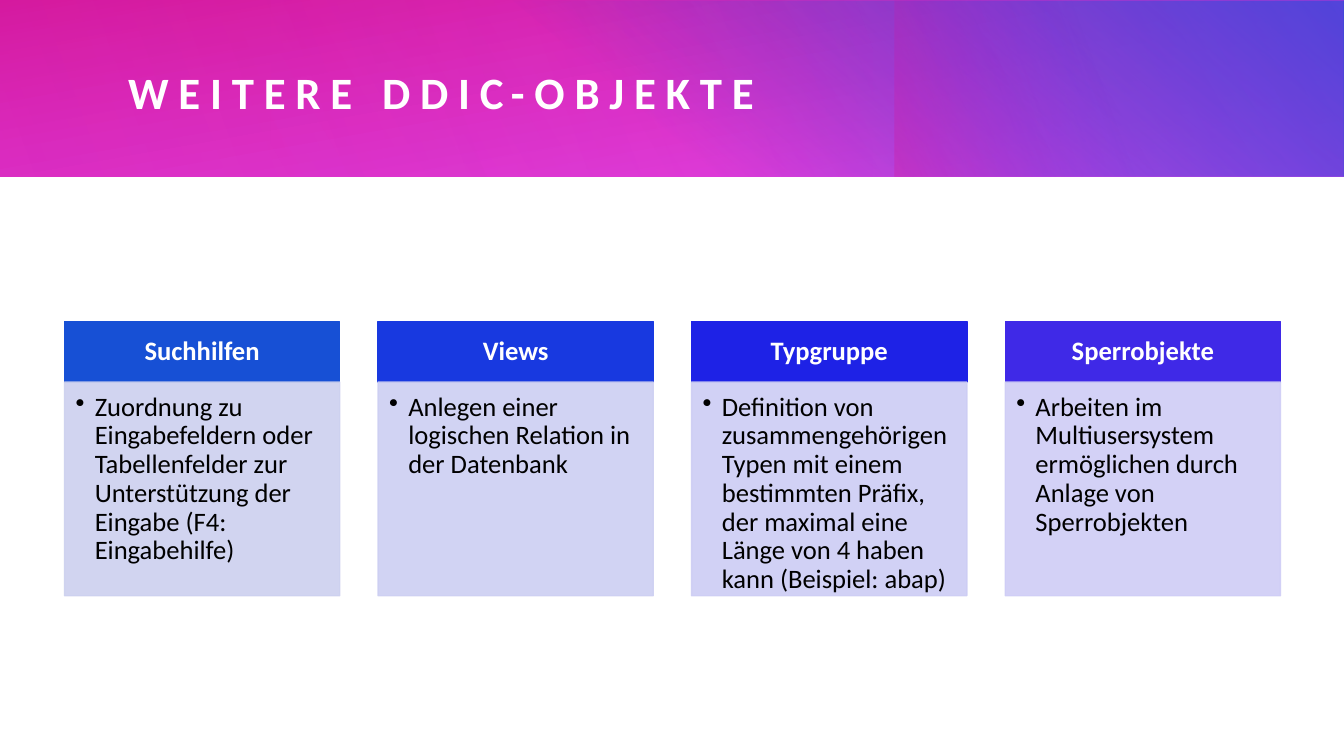
from lxml.etree import SubElement
from pptx import Presentation
from pptx.dml.color import RGBColor
from pptx.enum.shapes import MSO_SHAPE
from pptx.enum.text import MSO_ANCHOR, MSO_AUTO_SIZE, PP_ALIGN
from pptx.oxml.ns import qn
from pptx.util import Inches, Pt

COLORS = {"white": "FFFFFF", "black": "000000", "magenta": "DD29E7",
          "pink": "D5178F", "blue": "1750D5", "violet": "7C17D5"}

# Banner layers: box, rotation, gradient angle, stops (position, colour, opacity)
BANNER = [
    ((0, 0, 13.33, 1.75), 0, 260, [(0, "magenta", 83), (100, "pink", 100)]),
    ((4.81, 0.01, 8.52, 1.74), 0, 310, [(22, "blue", 0), (99, "blue", 100)]),
    ((9.87, -0.99, 1.75, 3.74), 270, 250, [(45, "violet", 0), (99, "pink", 33)]),
    ((2.68, 0, 10.64, 1.75), 180, 330, [(0, "magenta", 30), (99, "magenta", 0)]),
    ((0, 0, 8.65, 1.75), 0, 340, [(0, "magenta", 21), (99, "magenta", 0)]),
]

# Cards: heading, heading colour, body colour, body text
CARDS = [
    ("Suchhilfen", "1750D5", "CCD0EF",
     "Zuordnung zu Eingabefeldern oder Tabellenfelder zur Unterstützung der "
     "Eingabe (F4: Eingabehilfe)"),
    ("Views", "1839E0", "CDCFF2",
     "Anlegen einer logischen Relation in der Datenbank"),
    ("Typgruppe", "1E22E6", "CDCDF4",
     "Definition von zusammengehörigen Typen mit einem bestimmten Präfix, der "
     "maximal eine Länge von 4 haben kann (Beispiel: abap)"),
    ("Sperrobjekte", "3F29E7", "CFCDF6",
     "Arbeiten im Multiusersystem ermöglichen durch Anlage von Sperrobjekten"),
]


def set_attrs(obj, values):
    for name, value in values.items():
        setattr(obj, name, value)


def add_rect(s, box):
    sp = s.shapes.add_shape(MSO_SHAPE.RECTANGLE, *map(Inches, box))
    sp.shadow.inherit = False
    return sp


def set_gradient(sp, angle, stops):
    sp.fill.gradient()
    grad = sp._element.spPr.find(qn("a:gradFill"))
    for child in list(grad):
        grad.remove(child)
    gs_list = SubElement(grad, qn("a:gsLst"))
    for pos, color, opacity in stops:
        gs = SubElement(gs_list, qn("a:gs"), pos=str(pos * 1000))
        clr = SubElement(gs, qn("a:srgbClr"), val=COLORS[color])
        SubElement(clr, qn("a:alpha"), val=str(opacity * 1000))
    SubElement(grad, qn("a:lin"), ang=str(angle * 60000), scaled="0")


def set_text(sp, text, color, size, bold, align, anchor, insets):
    tf = sp.text_frame
    sides = ("margin_left", "margin_top", "margin_right", "margin_bottom")
    set_attrs(tf, {"word_wrap": True, "auto_size": MSO_AUTO_SIZE.NONE,
                   "vertical_anchor": anchor,
                   **dict(zip(sides, map(Inches, insets)))})
    p = tf.paragraphs[0]
    set_attrs(p, {"alignment": align, "line_spacing": 0.9})
    r = p.add_run()
    r.text = text
    set_attrs(r.font, {"name": "Calibri", "size": Pt(size), "bold": bold})
    r.font.color.rgb = RGBColor.from_string(COLORS[color])
    return p, r


def add_banner(s):
    for box, rotation, angle, stops in BANNER:
        sp = add_rect(s, box)
        sp.rotation = rotation
        set_gradient(sp, angle, stops)
        sp.line.fill.background()


def add_title(s, box, text):
    title = s.shapes.title
    set_attrs(title, dict(zip(("left", "top", "width", "height"), map(Inches, box))))
    p, r = set_text(title, text, "white", 32, True, PP_ALIGN.LEFT,
                    MSO_ANCHOR.MIDDLE, (0, 0, 0, 0))
    r.font._element.set("spc", "700")
    # Bring the title in front of the banner
    s.shapes._spTree.append(title._element)


def add_panel(s, box, color, opacity=100):
    sp = add_rect(s, box)
    sp.fill.solid()
    sp.line.width = Pt(1)
    for fill in (sp.fill, sp.line.fill):
        fill.solid()
        fill.fore_color.rgb = RGBColor.from_string(color)
    for clr in sp._element.spPr.iter(qn("a:srgbClr")):
        SubElement(clr, qn("a:alpha"), val=str(opacity * 1000))
    return sp


def add_card(s, box, heading, head_color, body_color, body):
    x, y, w, h = box
    head_h = 0.6
    # Heading
    sp = add_panel(s, (x, y, w, head_h), head_color)
    set_text(sp, heading, "white", 19, True, PP_ALIGN.CENTER,
             MSO_ANCHOR.MIDDLE, (0.15, 0.08, 0.15, 0.08))
    # Bulleted body
    sp = add_panel(s, (x, y + head_h, w, h - head_h), body_color, 90)
    p, r = set_text(sp, body, "black", 19, False, PP_ALIGN.LEFT,
                    MSO_ANCHOR.TOP, (0.11, 0.11, 0.15, 0.17))
    pPr = p._p.get_or_add_pPr()
    pPr.set("marL", str(Inches(0.19)))
    pPr.set("indent", str(-Inches(0.19)))
    SubElement(pPr, qn("a:buChar"), char="•")


def add_cards(s, box, gap):
    x, y, w, h = box
    card_w = (w - gap * (len(CARDS) - 1)) / len(CARDS)
    for i, card in enumerate(CARDS):
        add_card(s, (x + i * (card_w + gap), y, card_w, h), *card)


def main():
    prs = Presentation()
    set_attrs(prs, {"slide_width": Inches(13.33), "slide_height": Inches(7.5)})
    s = prs.slides.add_slide(prs.slide_layouts[5])
    s.background.fill.solid()
    s.background.fill.fore_color.rgb = RGBColor.from_string(COLORS["white"])
    add_banner(s)
    add_title(s, (1.27, 0.41, 11.35, 1.06), "WEITERE DDIC-OBJEKTE")
    add_cards(s, (0.64, 3.19, 12.06, 2.72), 0.38)
    prs.save("out.pptx")


if __name__ == "__main__":
    main()
